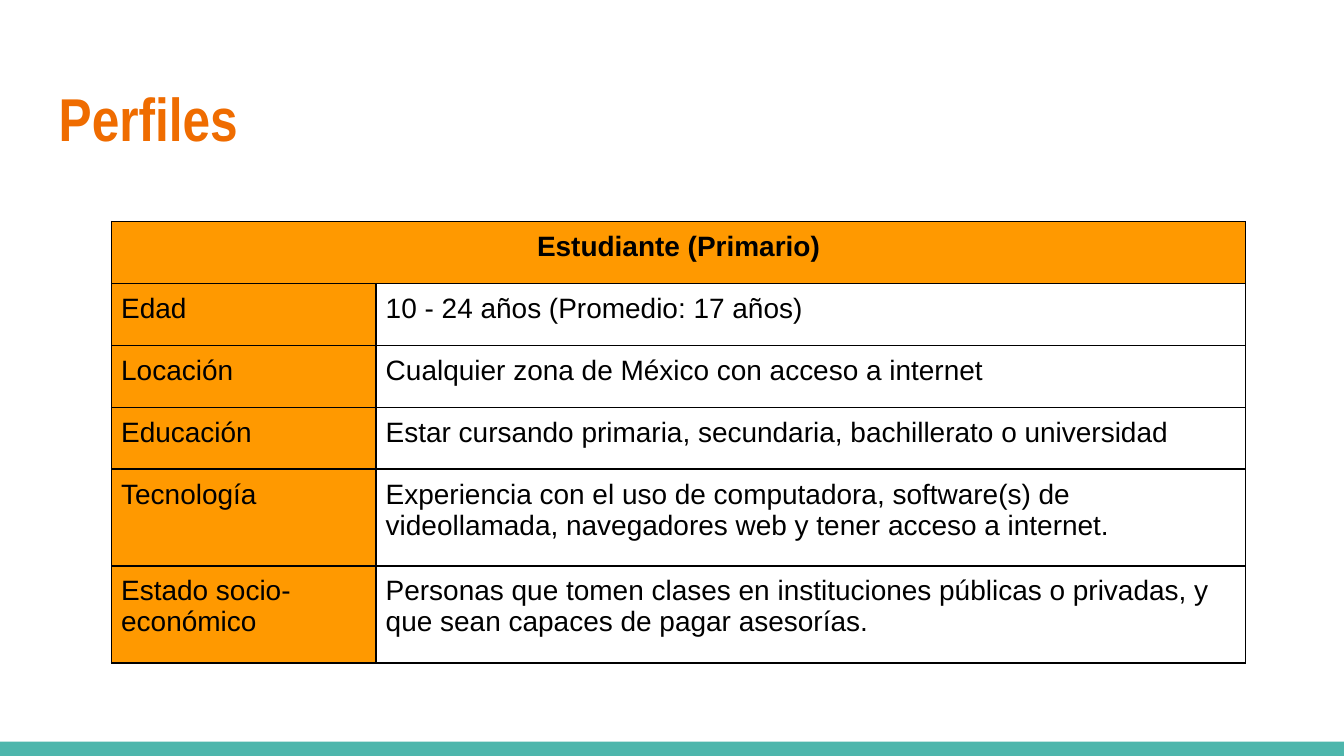
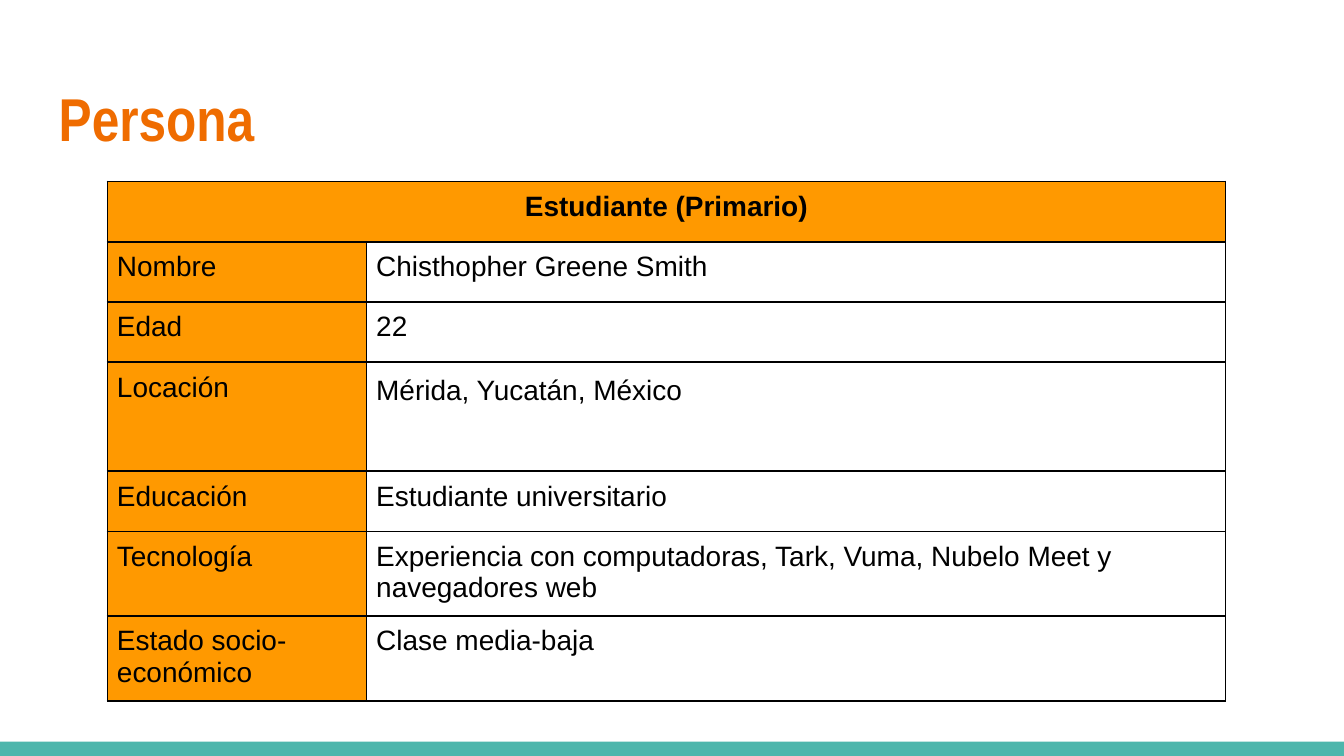
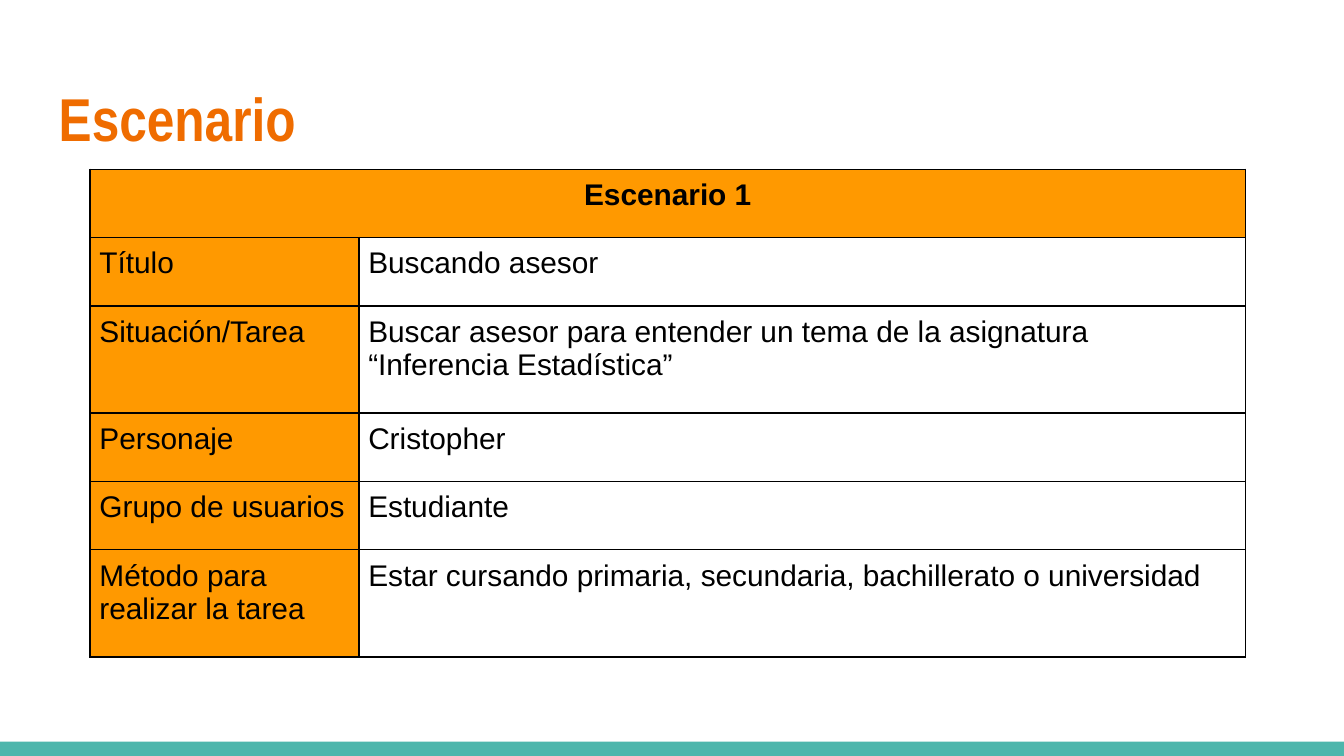
from lxml import etree
from pptx import Presentation
from pptx.dml.color import RGBColor
from pptx.enum.shapes import MSO_SHAPE
from pptx.enum.text import MSO_ANCHOR, MSO_AUTO_SIZE, PP_ALIGN
from pptx.oxml.ns import qn
from pptx.util import Cm, Pt

RECTANGLE = MSO_SHAPE.RECTANGLE
MIDDLE = MSO_ANCHOR.MIDDLE
NO_FIT = MSO_AUTO_SIZE.NONE
LEFT, CENTER = PP_ALIGN.LEFT, PP_ALIGN.CENTER

# Shared look, lengths in centimetres
SLIDE_WIDTH, SLIDE_HEIGHT = 25.4, 14.29
BAND_HEIGHT = 0.27
TITLE_BOX = (0.86, 1.24, 23.67, 1.96)
TITLE_INSET, CELL_INSET = 0.25, 0.18
TITLE_ORANGE, LABEL_ORANGE = "EF6C00", "FF9900"
TEAL, BLACK, WHITE = "4DB6AC", "000000", "FFFFFF"
TITLE_FONT, TABLE_FONT = "Arial Narrow", "Arial"
TITLE_ONLY = 5

# Each row: label, description, height
PROFILE_ROWS = [
    ("Edad", "10 - 24 años (Promedio: 17 años)", 1.17),
    ("Locación", "Cualquier zona de México con acceso a internet", 1.17),
    ("Educación", "Estar cursando primaria, secundaria, bachillerato o universidad", 1.17),
    ("Tecnología", "Experiencia con el uso de computadora, software(s) de videollamada, "
     "navegadores web y tener acceso a internet.", 1.83),
    ("Estado socio-económico", "Personas que tomen clases en instituciones públicas o privadas, "
     "y que sean capaces de pagar asesorías.", 1.83),
]
PERSONA_ROWS = [
    ("Nombre", "Chisthopher Greene Smith", 1.14),
    ("Edad", "22", 1.14),
    ("Locación", "Mérida, Yucatán, México", 2.06),
    ("Educación", "Estudiante universitario", 1.14),
    ("Tecnología", "Experiencia con computadoras, Tark, Vuma, Nubelo Meet y navegadores web", 1.6),
    ("Estado socio-económico", "Clase media-baja", 1.6),
]
SCENARIO_ROWS = [
    ("Título", "Buscando asesor", 1.29),
    ("Situación/Tarea", "Buscar asesor para entender un tema de la asignatura "
     "“Inferencia Estadística”", 2.03),
    ("Personaje", "Cristopher", 1.29),
    ("Grupo de usuarios", "Estudiante", 1.29),
    ("Método para realizar la tarea",
     "Estar cursando primaria, secundaria, bachillerato o universidad", 2.03),
]


def color(hex_code):
    return RGBColor.from_string(hex_code)


def set_insets(target, inset):
    target.margin_left = target.margin_right = Cm(inset)
    target.margin_top = target.margin_bottom = Cm(inset)


def style_paragraph(para, font_name, size, hex_code, bold, align):
    para.alignment = align
    para.font.name = font_name
    para.font.size = Pt(size)
    para.font.bold = bold
    para.font.color.rgb = color(hex_code)


def add_band(page):
    """Draw the bottom band and move it to the layout that all pages share."""
    band = page.shapes.add_shape(RECTANGLE, 0, Cm(SLIDE_HEIGHT - BAND_HEIGHT),
                                 Cm(SLIDE_WIDTH), Cm(BAND_HEIGHT))
    band.shadow.inherit = False
    band.fill.solid()
    band.fill.fore_color.rgb = color(TEAL)
    band.line.fill.background()
    band.element.nvSpPr.cNvPr.set("id", "20")
    page.slide_layout.shapes.element.append(band.element)


def write_title(page, text):
    title = page.shapes.title
    title.left, title.top, title.width, title.height = map(Cm, TITLE_BOX)
    frame = title.text_frame
    frame.text = text
    frame.auto_size = NO_FIT
    frame.word_wrap = True
    frame.vertical_anchor = MIDDLE
    set_insets(frame, TITLE_INSET)
    style_paragraph(frame.paragraphs[0], TITLE_FONT, 32.4, TITLE_ORANGE, True, LEFT)


def add_borders(cell):
    properties = cell._tc.get_or_add_tcPr()
    for position, side in enumerate(("lnL", "lnR", "lnT", "lnB")):
        line = etree.Element(qn(f"a:{side}"), w=str(Pt(1)))
        fill = etree.SubElement(line, qn("a:solidFill"))
        etree.SubElement(fill, qn("a:srgbClr"), val=BLACK)
        properties.insert(position, line)


def fill_cell(cell, text, size, fill, bold=False, align=LEFT):
    cell.text = text
    set_insets(cell, CELL_INSET)
    cell.fill.solid()
    cell.fill.fore_color.rgb = color(fill)
    add_borders(cell)
    style_paragraph(cell.text_frame.paragraphs[0], TABLE_FONT, size, BLACK, bold, align)


def add_profile_table(page, origin, widths, header, header_height, rows, size):
    heights = [header_height] + [height for _, _, height in rows]
    left, top = origin
    frame = page.shapes.add_table(len(heights), len(widths), Cm(left), Cm(top),
                                  Cm(sum(widths)), Cm(sum(heights)))
    table = frame.table
    for column, width in zip(table.columns, widths):
        column.width = Cm(width)
    for row, height in zip(table.rows, heights):
        row.height = Cm(height)

    # Header across both columns
    fill_cell(table.cell(0, 0), header, size, LABEL_ORANGE, True, CENTER)
    add_borders(table.cell(0, 1))
    table.cell(0, 0).merge(table.cell(0, 1))

    # Label and description rows
    for index, (label, description, _) in enumerate(rows, start=1):
        fill_cell(table.cell(index, 0), label, size, LABEL_ORANGE)
        fill_cell(table.cell(index, 1), description, size, WHITE)
    return table


def add_page(deck, title, **table_settings):
    page = deck.slides.add_slide(deck.slide_layouts[TITLE_ONLY])
    write_title(page, title)
    return page, add_profile_table(page, **table_settings)


def main():
    deck = Presentation()
    deck.slide_width, deck.slide_height = Cm(SLIDE_WIDTH), Cm(SLIDE_HEIGHT)

    profile_page, _ = add_page(
        deck, "Perfiles", origin=(2.11, 4.19), widths=(5, 16.43),
        header="Estudiante (Primario)", header_height=1.17, rows=PROFILE_ROWS, size=15)
    add_band(profile_page)

    _, persona_table = add_page(
        deck, "Persona", origin=(2.03, 3.43), widths=(4.9, 16.23),
        header="Estudiante (Primario)", header_height=1.14, rows=PERSONA_ROWS, size=15)
    place = persona_table.cell(3, 1).text_frame.paragraphs[0]
    place.line_spacing = 1.1
    place.space_after = Pt(8)

    add_page(
        deck, "Escenario", origin=(1.7, 3.2), widths=(5.08, 16.76),
        header="Escenario 1", header_height=1.29, rows=SCENARIO_ROWS, size=16)

    deck.save("out.pptx")


if __name__ == "__main__":
    main()
